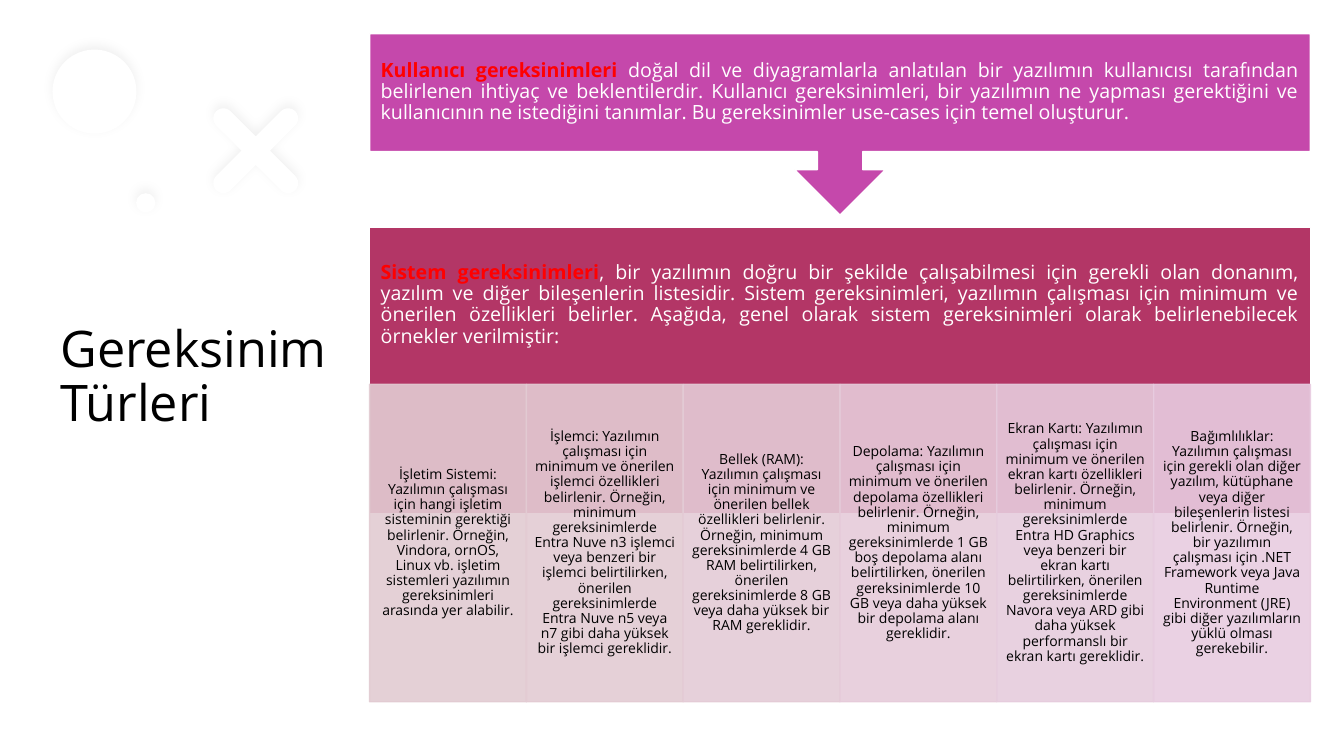
from math import cos, pi, sin

from lxml.etree import SubElement
from pptx import Presentation
from pptx.dml.color import RGBColor
from pptx.enum.shapes import MSO_SHAPE
from pptx.enum.text import MSO_ANCHOR, PP_ALIGN
from pptx.oxml.ns import qn
from pptx.util import Emu, Inches, Pt

GRID_COLUMNS, GRID_ROWS = 160, 90
PANEL_LEFT, PANEL_WIDTH = 44, 112
WHITE, BLACK, RED = "FFFFFF", "000000", "FF0000"

USER_TEXT = [
    ("Kullanıcı gereksinimleri ", {"bold": True}, RED),
    ("doğal dil ve diyagramlarla anlatılan bir yazılımın kullanıcısı tarafından "
     "belirlenen ihtiyaç ve beklentilerdir. Kullanıcı gereksinimleri, bir yazılımın ne "
     "yapması gerektiğini ve kullanıcının ne istediğini tanımlar. Bu gereksinimler "
     "use-cases için temel oluşturur.", {}, WHITE),
]
SYSTEM_TEXT = [
    ("Sistem gereksinimleri", {"bold": True}, RED),
    (", bir yazılımın doğru bir şekilde çalışabilmesi için gerekli olan donanım, yazılım "
     "ve diğer bileşenlerin listesidir. Sistem gereksinimleri, yazılımın çalışması için "
     "minimum ve önerilen özellikleri belirler. Aşağıda, genel olarak sistem "
     "gereksinimleri olarak belirlenebilecek örnekler verilmiştir:", {}, WHITE),
]
REQUIREMENTS = [
    ("E2CBD2", "İşletim Sistemi: Yazılımın çalışması için hangi işletim sisteminin "
     "gerektiği belirlenir. Örneğin, Vindora, ornOS, Linux vb. işletim sistemleri "
     "yazılımın gereksinimleri arasında yer alabilir."),
    ("E3CBD3", "İşlemci: Yazılımın çalışması için minimum ve önerilen işlemci özellikleri "
     "belirlenir. Örneğin, minimum gereksinimlerde Entra Nuve n3 işlemci veya benzeri bir "
     "işlemci belirtilirken, önerilen gereksinimlerde Entra Nuve n5 veya n7 gibi daha "
     "yüksek bir işlemci gereklidir."),
    ("E4CBD6", "Bellek (RAM): Yazılımın çalışması için minimum ve önerilen bellek "
     "özellikleri belirlenir. Örneğin, minimum gereksinimlerde 4 GB RAM belirtilirken, "
     "önerilen gereksinimlerde 8 GB veya daha yüksek bir RAM gereklidir."),
    ("E6CBDA", "Depolama: Yazılımın çalışması için minimum ve önerilen depolama özellikleri "
     "belirlenir. Örneğin, minimum gereksinimlerde 1 GB boş depolama alanı belirtilirken, "
     "önerilen gereksinimlerde 10 GB veya daha yüksek bir depolama alanı gereklidir."),
    ("E6CCDD", "Ekran Kartı: Yazılımın çalışması için minimum ve önerilen ekran kartı "
     "özellikleri belirlenir. Örneğin, minimum gereksinimlerde Entra HD Graphics veya "
     "benzeri bir ekran kartı belirtilirken, önerilen gereksinimlerde Navora veya ARD "
     "gibi daha yüksek performanslı bir ekran kartı gereklidir."),
    ("E8CCE0", "Bağımlılıklar: Yazılımın çalışması için gerekli olan diğer yazılım, "
     "kütüphane veya diğer bileşenlerin listesi belirlenir. Örneğin, bir yazılımın "
     "çalışması için .NET Framework veya Java Runtime Environment (JRE) gibi diğer "
     "yazılımların yüklü olması gerekebilir."),
]


def color(value):
    return RGBColor.from_string(value)


def set_values(target, values):
    for name, value in values.items():
        setattr(target, name, value)


class SlideBuilder:
    """Draws on one slide; lengths are columns and rows of a 160 by 90 grid."""

    font_name = "Open Sans"
    line_spacing = 0.9

    def __init__(self, presentation):
        self.slide = presentation.slides.add_slide(presentation.slide_layouts[6])
        self.column = presentation.slide_width / GRID_COLUMNS
        self.row = presentation.slide_height / GRID_ROWS

    def place(self, left, top, width, height):
        return (Emu(round(left * self.column)), Emu(round(top * self.row)),
                Emu(round(width * self.column)), Emu(round(height * self.row)))

    def paint(self, shape, fill, line=None, opacity=100):
        shape.shadow.inherit = False
        shape.fill.solid()
        shape.fill.fore_color.rgb = color(fill)
        if line is None:
            shape.line.fill.background()
        else:
            shape.line.color.rgb = color(line)
            shape.line.width = Pt(1)
        if opacity < 100:
            for element in shape._element.spPr.iter(qn("a:srgbClr")):
                SubElement(element, qn("a:alpha"), val=str(opacity * 1000))

    def shape(self, kind, box, fill, line=None, opacity=100):
        shape = self.slide.shapes.add_shape(kind, *self.place(*box))
        self.paint(shape, fill, line, opacity)
        return shape

    def fill_text(self, shape, runs, size, alignment, insets):
        horizontal, vertical = (Inches(inset) for inset in insets)
        set_values(shape.text_frame, {
            "word_wrap": True, "vertical_anchor": MSO_ANCHOR.MIDDLE,
            "margin_left": horizontal, "margin_right": horizontal,
            "margin_top": vertical, "margin_bottom": vertical})
        paragraph = shape.text_frame.paragraphs[0]
        set_values(paragraph, {"alignment": alignment, "line_spacing": self.line_spacing})
        for text, formats, text_color in runs:
            run = paragraph.add_run()
            run.text = text
            set_values(run.font, {"name": self.font_name, "size": Pt(size), **formats})
            run.font.color.rgb = color(text_color)

    def text(self, box, runs, size, alignment, insets):
        text_box = self.slide.shapes.add_textbox(*self.place(*box))
        self.fill_text(text_box, runs, size, alignment, insets)

    def soft_shadow(self, shape):
        effects = shape._element.spPr.find(qn("a:effectLst"))
        shadow = SubElement(effects, qn("a:outerShdw"), blurRad=str(Pt(8)), dist=str(Pt(3)),
                            dir=str(270 * 60000), algn="ctr", rotWithShape="0")
        shade = SubElement(shadow, qn("a:srgbClr"), val=BLACK)
        SubElement(shade, qn("a:alpha"), val="5000")

    def circle(self, left, top, size):
        self.soft_shadow(self.shape(MSO_SHAPE.OVAL, (left, top, size, size), WHITE))

    def rounded_cross(self, center_column, center_row, reach, radius):
        """Four arms with round ends, turned by 45 degrees."""
        points = []
        for arm in range(4):
            turn = arm * pi / 2
            local = [(radius, -radius)]
            for step in range(13):
                angle = -pi / 2 + step * pi / 12
                local.append((reach - radius + radius * cos(angle), radius * sin(angle)))
            points += [((center_column + x * cos(turn) - y * sin(turn)) * self.column,
                        (center_row + x * sin(turn) + y * cos(turn)) * self.row)
                       for x, y in local]
        builder = self.slide.shapes.build_freeform(*points[0])
        builder.add_line_segments(points[1:], close=True)
        cross = builder.convert_to_shape()
        cross.rotation = 45
        self.paint(cross, WHITE)
        self.soft_shadow(cross)


def main():
    presentation = Presentation()
    set_values(presentation, {"slide_width": Inches(13.33), "slide_height": Inches(7.5)})
    builder = SlideBuilder(presentation)

    builder.text((6, 7.3, 43, 75.4), [("Gereksinim Türleri", {}, BLACK)],
                 36, PP_ALIGN.LEFT, (0.1, 0.05))
    builder.rounded_cross(30.45, 17.95, 6.65, 1.2)
    builder.circle(16.2, 23, 2.3)
    builder.circle(6.25, 5.9, 10)

    builder.shape(MSO_SHAPE.RECTANGLE, (PANEL_LEFT, 27.1, PANEL_WIDTH, 34), "B33666", WHITE)
    builder.text((PANEL_LEFT, 27.1, PANEL_WIDTH, 18.4), SYSTEM_TEXT,
                 14, PP_ALIGN.JUSTIFY, (0.11, 0.11))

    cell_width = PANEL_WIDTH / len(REQUIREMENTS)
    for index, (fill, text) in enumerate(REQUIREMENTS):
        box = (PANEL_LEFT + index * cell_width, 45.75, cell_width, 37.8)
        cell = builder.shape(MSO_SHAPE.RECTANGLE, box, fill, fill, opacity=90)
        builder.fill_text(cell, [(text, {}, BLACK)], 10, PP_ALIGN.CENTER, (0.08, 0.01))

    callout = builder.shape(MSO_SHAPE.UP_ARROW_CALLOUT, (PANEL_LEFT, 4, PANEL_WIDTH, 21.6),
                            "C548AB", WHITE)
    callout.rotation = 180
    for index, share in enumerate((0.25, 0.25, 0.25, 0.65)):
        callout.adjustments[index] = share
    builder.text((PANEL_LEFT, 4, PANEL_WIDTH, 14), USER_TEXT,
                 14, PP_ALIGN.JUSTIFY, (0.11, 0.11))

    presentation.save("out.pptx")


if __name__ == "__main__":
    main()
